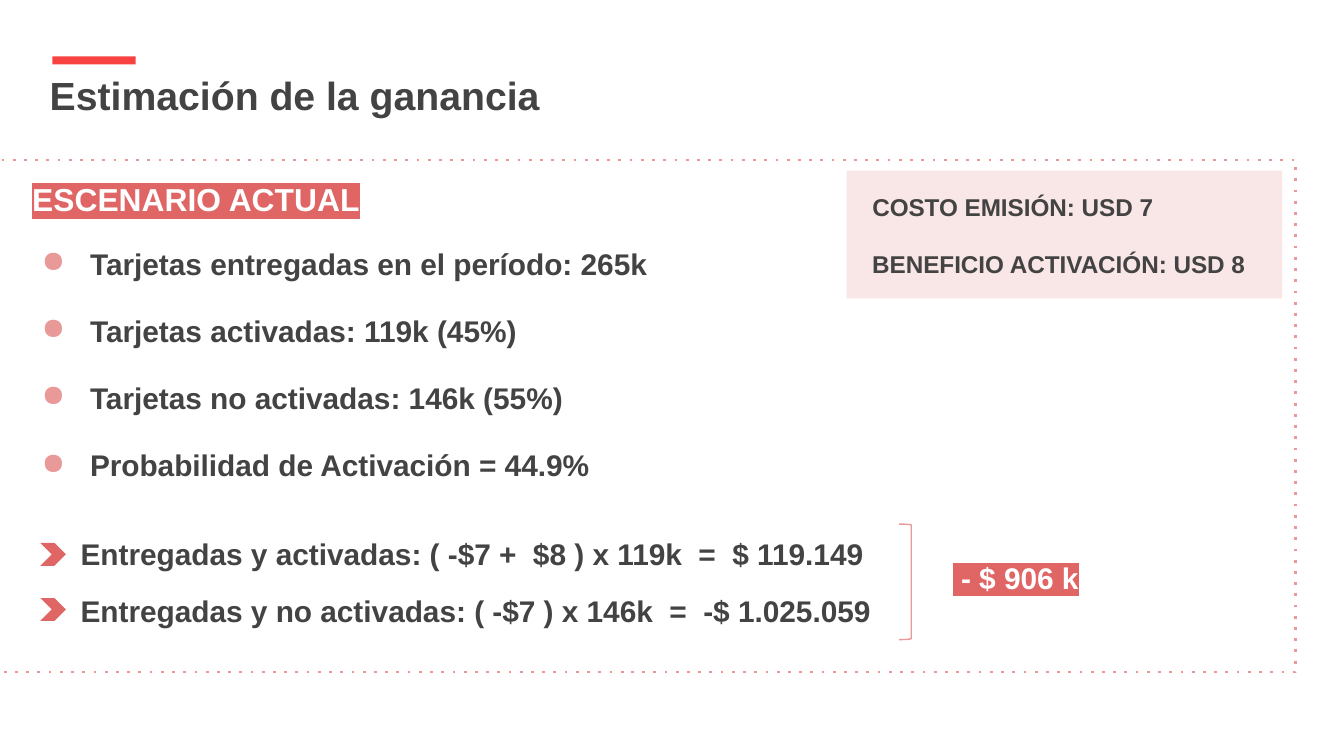
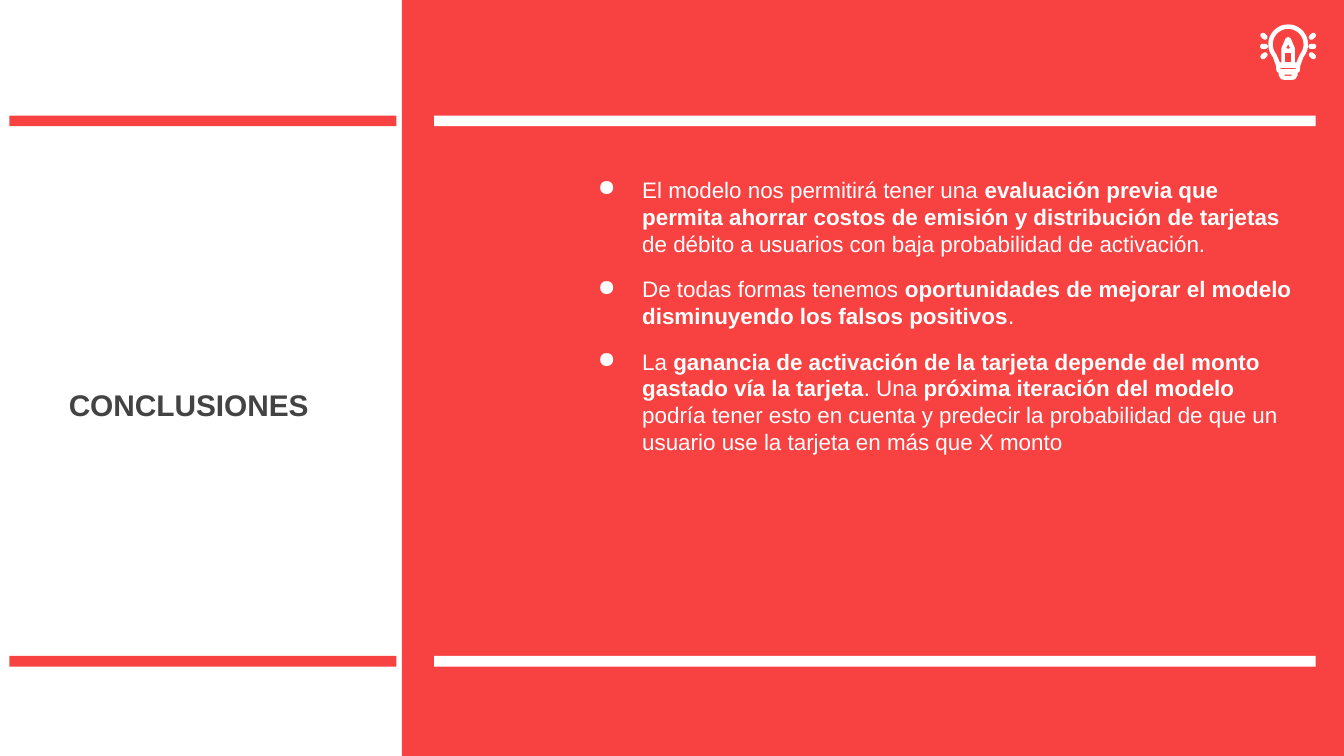
from dataclasses import dataclass
from math import cos, radians, sin

from lxml import etree
from pptx import Presentation
from pptx.dml.color import RGBColor
from pptx.enum.dml import MSO_LINE
from pptx.enum.shapes import MSO_SHAPE
from pptx.enum.text import MSO_ANCHOR, MSO_AUTO_SIZE, PP_ALIGN
from pptx.oxml.ns import qn
from pptx.util import Emu, Inches, Pt

RECT, CHEVRON = MSO_SHAPE.RECTANGLE, MSO_SHAPE.CHEVRON
BRACKET, ROUNDED = MSO_SHAPE.RIGHT_BRACKET, MSO_SHAPE.ROUNDED_RECTANGLE
TOP, MIDDLE = MSO_ANCHOR.TOP, MSO_ANCHOR.MIDDLE
LEFT, CENTER = PP_ALIGN.LEFT, PP_ALIGN.CENTER

COLORS = {
    "red": "F84242",
    "coral": "E06666",
    "rose": "EA9999",
    "blush": "F4CCCC",
    "ink": "434343",
    "white": "FFFFFF",
}
FONT = "Arial"
CELL = Inches(0.1)  # side of one grid column and row
TITLE_ONLY = 5
LINE_ROWS = 4.2  # height of a one-line text


@dataclass(frozen=True)
class Area:
    """A place on the grid, in columns and rows of 0.1 inch."""
    col: float
    row: float
    cols: float
    rows: float = LINE_ROWS

    def emu(self) -> list[Emu]:
        return [Emu(round(n * CELL)) for n in (self.col, self.row, self.cols, self.rows)]


@dataclass(frozen=True)
class Style:
    size: float
    color: str = "ink"
    bold: bool = True
    align: PP_ALIGN = LEFT
    anchor: MSO_ANCHOR = MIDDLE
    highlight: str = ""


@dataclass(frozen=True)
class Line:
    text: str
    area: Area
    style: Style
    bulleted: bool = False


@dataclass(frozen=True)
class Ray:
    """One ray right of the bulb; its twin is mirrored to the left."""
    row: float
    rotation: float


BODY = Style(16)
NOTE = Style(13)
BADGE = Style(16, "white", highlight="coral")
CONCLUSION = Style(12, "white", bold=False, anchor=TOP)

BULLETS = [
    ("Tarjetas entregadas en el período: 265k", 69.8),
    ("Tarjetas activadas: 119k (45%)", 50.8),
    ("Tarjetas no activadas: 146k (55%)", 55.3),
    ("Probabilidad de Activación = 44.9%", 55.3),
]
RESULTS = [
    "Entregadas y activadas: ( -$7 +  $8 ) x 119k  =  $ 119.149",
    "Entregadas y no activadas: ( -$7 ) x 146k  =  -$ 1.025.059",
]
UNIT_VALUES = [("COSTO EMISIÓN: USD 7", 23.2), ("BENEFICIO ACTIVACIÓN: USD 8", 28.6)]

# Runs alternate between regular and bold, starting with regular.
CONCLUSIONS = [
    ["El modelo nos permitirá tener una ",
     "evaluación previa que permita ahorrar costos de emisión y distribución de tarjetas",
     " de débito a usuarios con baja probabilidad de activación."],
    ["De todas formas tenemos ",
     "oportunidades de mejorar el modelo disminuyendo los falsos positivos",
     "."],
    ["La ",
     "ganancia de activación de la tarjeta depende del monto gastado vía la tarjeta",
     ". Una ",
     "próxima iteración del modelo ",
     "podría tener esto en cuenta y predecir la probabilidad de que un usuario use "
     "la tarjeta en más que X monto"],
]

BULB_COL, BULB_ROW = 95.85, 3.3
RAYS = [Ray(2.7, -42), Ray(3.45, 0), Ray(4.15, 42)]


def rgb(name: str) -> RGBColor:
    return RGBColor.from_string(COLORS[name])


def add_color(parent, tag: str, color: str):
    """Append an XML element that holds one solid colour."""
    holder = etree.SubElement(parent, qn(tag))
    etree.SubElement(holder, qn("a:srgbClr")).set("val", COLORS[color])
    return holder


def paint(shape, fill: str = "", line: str = "", width: float = 0.75) -> None:
    shape.shadow.inherit = False
    if fill:
        shape.fill.solid()
        shape.fill.fore_color.rgb = rgb(fill)
    else:
        shape.fill.background()
    if line:
        shape.line.color.rgb = rgb(line)
        shape.line.width = Pt(width)
    else:
        shape.line.fill.background()


def add_figure(shapes, kind, area: Area, fill: str = "", line: str = "", width: float = 0.75):
    figure = shapes.add_shape(kind, *area.emu())
    paint(figure, fill, line, width)
    return figure


def set_opacity(shape, percent: int) -> None:
    color = shape.fill._xPr.find(".//" + qn("a:srgbClr"))
    etree.SubElement(color, qn("a:alpha")).set("val", str(percent * 1000))


def format_paragraph(paragraph, style: Style) -> None:
    paragraph.alignment = style.align
    font = paragraph.font
    font.name, font.size, font.bold = FONT, Pt(style.size), style.bold
    font.color.rgb = rgb(style.color)
    if style.highlight:
        for run in paragraph.runs:
            add_color(run._r.get_or_add_rPr(), "a:highlight", style.highlight)


def add_bullet(paragraph, color: str, hanging: float) -> None:
    """Give a formatted paragraph a coloured dot and a hanging indent in inches."""
    props = paragraph._p.get_or_add_pPr()
    props.set("marL", str(Inches(0.5)))
    props.set("indent", str(-Inches(hanging)))
    defaults = props.find(qn("a:defRPr"))
    dot = etree.Element(qn("a:buChar"))
    dot.set("char", "●")
    defaults.addprevious(add_color(props, "a:buClr", color))
    defaults.addprevious(dot)


def prepare_frame(frame, anchor, side: float = 0.02, end: float = 0.01) -> None:
    frame.word_wrap = True
    frame.auto_size = MSO_AUTO_SIZE.NONE
    frame.vertical_anchor = anchor
    frame.margin_left = frame.margin_right = Inches(side)
    frame.margin_top = frame.margin_bottom = Inches(end)


def write_line(shape, text: str, style: Style):
    prepare_frame(shape.text_frame, style.anchor)
    paragraph = shape.text_frame.paragraphs[0]
    paragraph.add_run().text = text
    format_paragraph(paragraph, style)
    return paragraph


def add_line(slide, line: Line) -> None:
    paragraph = write_line(slide.shapes.add_textbox(*line.area.emu()), line.text, line.style)
    if line.bulleted:
        add_bullet(paragraph, "rose", 0.36)


def add_title(slide, text: str, area: Area, style: Style) -> None:
    title = slide.shapes.title
    title.left, title.top, title.width, title.height = area.emu()
    write_line(title, text, style)


def mirrored(right_half: list[tuple[float, float]]) -> list[tuple[Emu, Emu]]:
    """Close a contour by reflecting its right half; rows count from the bulb's centre."""
    points = right_half + [(-x, y) for x, y in reversed(right_half)]
    return [(Emu(round((BULB_COL + x) * CELL)), Emu(round((BULB_ROW + y) * CELL)))
            for x, y in points]


def dome(radius: float) -> list[tuple[float, float]]:
    return [(radius * cos(radians(a)), radius * sin(radians(a))) for a in range(-90, 41, 10)]


def add_bulb(slide) -> None:
    icon = slide.shapes.add_group_shape().shapes
    contours = [mirrored(half) for half in (
        dome(1.43) + [(0.85, 1.6), (0.85, 1.8), (0.8, 2), (0.65, 2.1),
                      (0.65, 2.3), (0.5, 2.55), (0.25, 2.6)],
        dome(1.2) + [(0.65, 1.4), (0.45, 1.4), (0.45, 0.3), (0.15, -0.4), (0, -0.5)],
        [(0, -0.1), (0.22, 0.3), (0, 0.4)],
        [(0.25, 0.6), (0.25, 1.4)],
        [(0.65, 1.7), (0.62, 1.85), (0.5, 1.9)],
        [(0.35, 2.2), (0.32, 2.35), (0.25, 2.4)],
    )]
    builder = icon.build_freeform(*contours[0][0], scale=1.0)
    builder.add_line_segments(contours[0][1:], close=True)
    for contour in contours[1:]:
        builder.move_to(*contour[0])
        builder.add_line_segments(contour[1:], close=True)
    paint(builder.convert_to_shape(), "white", "white")

    for ray in RAYS:
        for side in (-1, 1):
            area = Area(BULB_COL + side * 1.8 - 0.24, ray.row - 0.14, 0.48, 0.28)
            beam = add_figure(icon, ROUNDED, area, "white", "white")
            beam.adjustments[0] = 0.5
            beam.rotation = side * ray.rotation


def build_profit(slide) -> None:
    border = add_figure(slide.shapes, RECT, Area(-3.6, 11.9, 100, 38.1), line="rose", width=1.5)
    border.line.dash_style = MSO_LINE.ROUND_DOT
    border._element.spPr.find(".//" + qn("a:prstDash")).set("val", "dot")
    set_opacity(add_figure(slide.shapes, RECT, Area(63, 12.7, 32.4, 9.5), "blush"), 48)
    add_title(slide, "Estimación de la ganancia", Area(3.5, 5.2, 55.3), Style(21, anchor=TOP))
    add_figure(slide.shapes, RECT, Area(3.9, 4.2, 6.2, 0.6), "red")

    scenario = Style(17, "white", anchor=TOP, highlight="coral")
    lines = [Line("ESCENARIO ACTUAL", Area(2.2, 13.3, 25.7), scenario)]
    lines += [Line(text, Area(1.5, 17.5 + 5 * i, cols), BODY, bulleted=True)
              for i, (text, cols) in enumerate(BULLETS)]
    lines += [Line(text, Area(64.7, 13.3 + LINE_ROWS * i, cols), NOTE)
              for i, (text, cols) in enumerate(UNIT_VALUES)]
    lines += [Line(text, Area(5.8, 39.1 + LINE_ROWS * i, 69.8), BODY)
              for i, text in enumerate(RESULTS)]
    lines.append(Line(" - $ 906 k", Area(70.7, 40.9, 13.7), BADGE))
    for line in lines:
        add_line(slide, line)

    for i in range(len(RESULTS)):
        add_figure(slide.shapes, CHEVRON, Area(3, 40.4 + 4.1 * i, 1.9, 1.7), "coral")
    bracket = add_figure(slide.shapes, BRACKET, Area(66.9, 39, 0.9, 8.6), line="rose")
    bracket.adjustments[0] = 0.08


def build_conclusions(slide) -> None:
    add_figure(slide.shapes, RECT, Area(29.9, 0, 70.1, 56.25), "red")
    add_title(slide, "CONCLUSIONES", Area(2, 28, 24.1), Style(16, align=CENTER))
    for row in (8.6, 48.8):
        add_figure(slide.shapes, RECT, Area(0.7, row, 28.8, 0.8), "red")
        add_figure(slide.shapes, RECT, Area(32.3, row, 65.6, 0.8), "white")

    frame = slide.shapes.add_textbox(*Area(41.8, 12.1, 56.2, 33).emu()).text_frame
    prepare_frame(frame, CONCLUSION.anchor, 0.1, 0.1)
    for i, texts in enumerate(CONCLUSIONS):
        paragraph = frame.add_paragraph() if i else frame.paragraphs[0]
        for j, text in enumerate(texts):
            run = paragraph.add_run()
            run.text = text
            run.font.bold = j % 2 == 1
        format_paragraph(paragraph, CONCLUSION)
        paragraph.space_before = Pt(10 if i else 0)
        add_bullet(paragraph, "white", 0.33)
    paragraph.space_after = Pt(10)
    add_bulb(slide)


def main() -> None:
    deck = Presentation()
    deck.slide_width, deck.slide_height = Inches(10), Inches(5.625)
    for build in (build_profit, build_conclusions):
        build(deck.slides.add_slide(deck.slide_layouts[TITLE_ONLY]))
    # The title placeholder comes first in a new slide; the red panel stays clear of it.
    deck.save("out.pptx")


if __name__ == "__main__":
    main()
